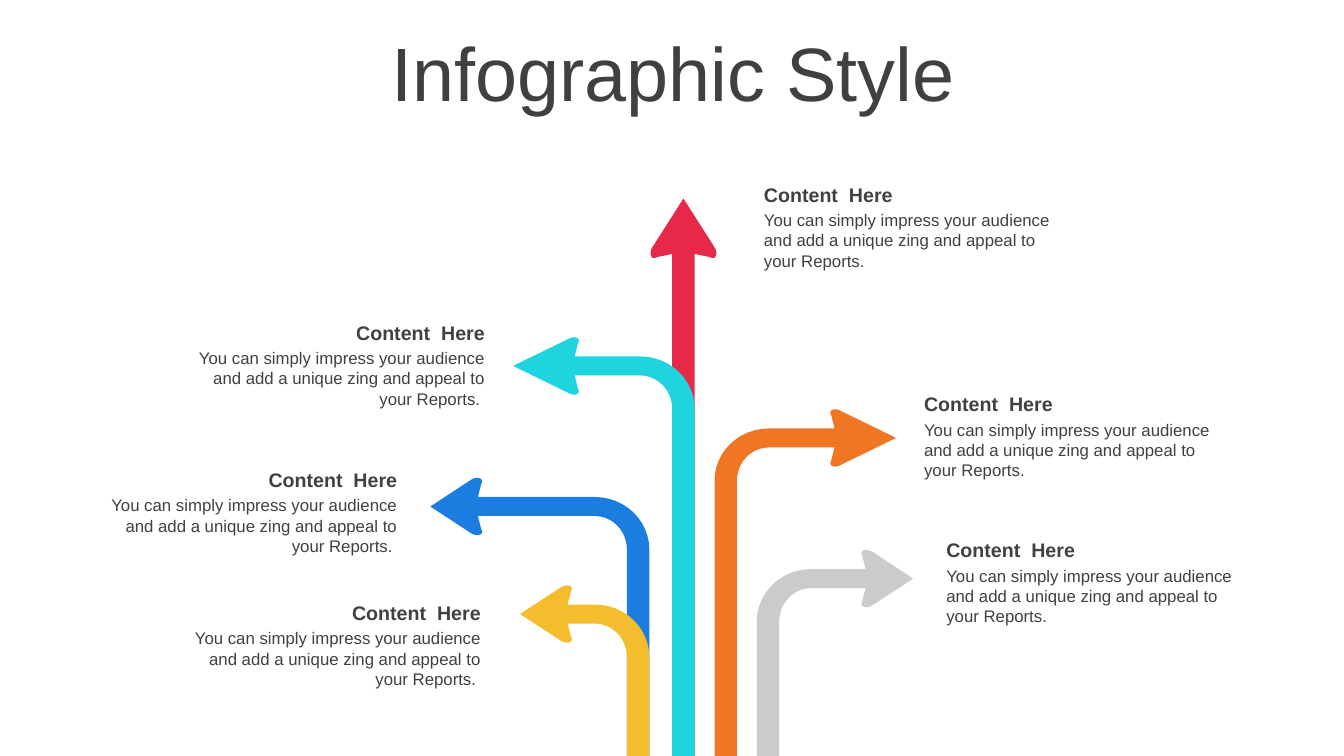
import math
from dataclasses import dataclass

import pptx
import pptx.dml.color
import pptx.enum.text
import pptx.util

Pt = pptx.util.Pt
Align = pptx.enum.text.PP_ALIGN
Anchor = pptx.enum.text.MSO_ANCHOR
AutoSize = pptx.enum.text.MSO_AUTO_SIZE
Point = tuple[float, float]

SLIDE_WIDTH, SLIDE_HEIGHT = 960, 540
COLORS = {
    "text": "404040",
    "red": "E62949",
    "cyan": "1ED4DE",
    "orange": "F07624",
    "gray": "CBCBCB",
    "blue": "1C7DE1",
    "yellow": "F4BD2D",
}
STEM_HALF = 8
BRANCH_HALF = 6.8
BEND_WIDTH = 39
BEND_DROP = 30.5
CURVE_STEPS = 12
CAPTION_WIDTH = 227.5
HEADING = "Content  Here"
DETAIL = "You can simply impress your audience and add a unique zing and appeal to your Reports."


@dataclass(frozen=True)
class Arrow:
    color: str
    stem_x: float
    tip_x: float
    tip_y: float
    head_length: float
    direction: int  # -1 left, 0 up, 1 right


@dataclass(frozen=True)
class Caption:
    left: float
    top: float
    align: Align


ARROWS = [
    Arrow("red", 488.2, 488.2, 141.8, 39.6, 0),
    Arrow("cyan", 488.2, 366.5, 261.4, 44, -1),
    Arrow("orange", 518.4, 640.1, 312.8, 44, 1),
    Arrow("gray", 548.6, 652.3, 413.3, 34, 1),
    Arrow("blue", 455.8, 307.4, 361.8, 34, -1),
    Arrow("yellow", 455.8, 371.5, 438.6, 34, -1),
]
CAPTIONS = [
    Caption(653, 276.5, Align.LEFT),
    Caption(668.9, 380.9, Align.LEFT),
    Caption(126, 225.4, Align.RIGHT),
    Caption(63.4, 330.5, Align.RIGHT),
    Caption(123.1, 425.5, Align.RIGHT),
    Caption(538.6, 126.9, Align.LEFT),
]


def barb(length: float, neck_half: float, spread: float) -> list[Point]:
    """Half a head as (distance behind the tip, distance from the axis), tip to neck."""
    controls = [(length - 5, 19 + spread), (length - 1, 21.8 + spread),
                (length + 5, 20.5 + spread), (length + 2.3, 16 + spread)]
    points = []
    for step in range(CURVE_STEPS + 1):
        t = step / CURVE_STEPS
        weights = [math.comb(3, k) * t**k * (1 - t)**(3 - k) for k in range(4)]
        points.append((sum(w * c[0] for w, c in zip(weights, controls)),
                       sum(w * c[1] for w, c in zip(weights, controls))))
    return points + [(length, neck_half)]


def quarter_bend(arrow: Arrow, radius_x: float, radius_y: float) -> list[Point]:
    """Quarter ellipse from the branch down to the stem."""
    center_x = arrow.stem_x + arrow.direction * (BEND_WIDTH - STEM_HALF)
    center_y = arrow.tip_y + BEND_DROP
    angles = [math.pi / 2 * step / CURVE_STEPS for step in range(CURVE_STEPS + 1)]
    return [(center_x - arrow.direction * radius_x * math.sin(a),
             center_y - radius_y * math.cos(a)) for a in angles]


def arrow_outline(arrow: Arrow) -> list[Point]:
    x, y, side = arrow.tip_x, arrow.tip_y, arrow.direction
    if side == 0:
        half = barb(arrow.head_length, STEM_HALF, 3) + [(SLIDE_HEIGHT - y, STEM_HALF)]
        right = [(x + across, y + along) for along, across in half]
        left = [(x - across, y + along) for along, across in half]
        return [(x, y)] + right + left[::-1]
    half = barb(arrow.head_length, BRANCH_HALF, 0)
    upper = [(x - side * along, y - across) for along, across in half]
    lower = [(x - side * along, y + across) for along, across in half]
    outer = quarter_bend(arrow, BEND_WIDTH, BEND_DROP + BRANCH_HALF)
    inner = quarter_bend(arrow, BEND_WIDTH - 2 * STEM_HALF, BEND_DROP - BRANCH_HALF)
    foot = [(arrow.stem_x - side * STEM_HALF, SLIDE_HEIGHT),
            (arrow.stem_x + side * STEM_HALF, SLIDE_HEIGHT)]
    return [(x, y)] + upper + outer + foot + inner[::-1] + lower[::-1]


def draw_arrow(shapes, arrow: Arrow) -> None:
    start, *rest = [(Pt(x), Pt(y)) for x, y in arrow_outline(arrow)]
    builder = shapes.build_freeform(*start)
    builder.add_line_segments(rest, close=True)
    ribbon = builder.convert_to_shape()
    ribbon.shadow.inherit = False
    ribbon.fill.solid()
    ribbon.fill.fore_color.rgb = pptx.dml.color.RGBColor.from_string(COLORS[arrow.color])
    ribbon.line.fill.background()


def add_text(shapes, text: str, left: float, top: float, width: float, height: float, *,
             size: float, align: Align, bold: bool = False, anchor: Anchor = Anchor.TOP,
             line_spacing: float = 1.0, auto_size: AutoSize = AutoSize.NONE) -> None:
    frame = shapes.add_textbox(Pt(left), Pt(top), Pt(width), Pt(height)).text_frame
    frame.word_wrap = True
    frame.auto_size = auto_size
    frame.vertical_anchor = anchor
    paragraph = frame.paragraphs[0]
    paragraph.alignment = align
    paragraph.line_spacing = line_spacing
    run = paragraph.add_run()
    run.text = text
    run.font.name = "Arial"
    run.font.size = Pt(size)
    run.font.bold = bold
    run.font.color.rgb = pptx.dml.color.RGBColor.from_string(COLORS["text"])


def draw_caption(shapes, caption: Caption) -> None:
    detail = DETAIL + " " if caption.align == Align.RIGHT else DETAIL
    add_text(shapes, HEADING, caption.left, caption.top, CAPTION_WIDTH, 24.2, size=14,
             bold=True, align=caption.align, auto_size=AutoSize.SHAPE_TO_FIT_TEXT)
    add_text(shapes, detail, caption.left, caption.top + 19.6, CAPTION_WIDTH, 50.9, size=12,
             align=caption.align, auto_size=AutoSize.SHAPE_TO_FIT_TEXT)


def main() -> None:
    presentation = pptx.Presentation()
    presentation.slide_width = Pt(SLIDE_WIDTH)
    presentation.slide_height = Pt(SLIDE_HEIGHT)
    slide = presentation.slides.add_slide(presentation.slide_layouts[6])
    add_text(slide.shapes, "Infographic Style", 25.2, 26.6, 911.5, 56.9, size=54,
             align=Align.CENTER, anchor=Anchor.MIDDLE, line_spacing=0.9)
    arrow_group = slide.shapes.add_group_shape()
    for arrow in ARROWS:
        draw_arrow(arrow_group.shapes, arrow)
    for caption in CAPTIONS:
        draw_caption(slide.shapes.add_group_shape().shapes, caption)
    presentation.save("out.pptx")


if __name__ == "__main__":
    main()
